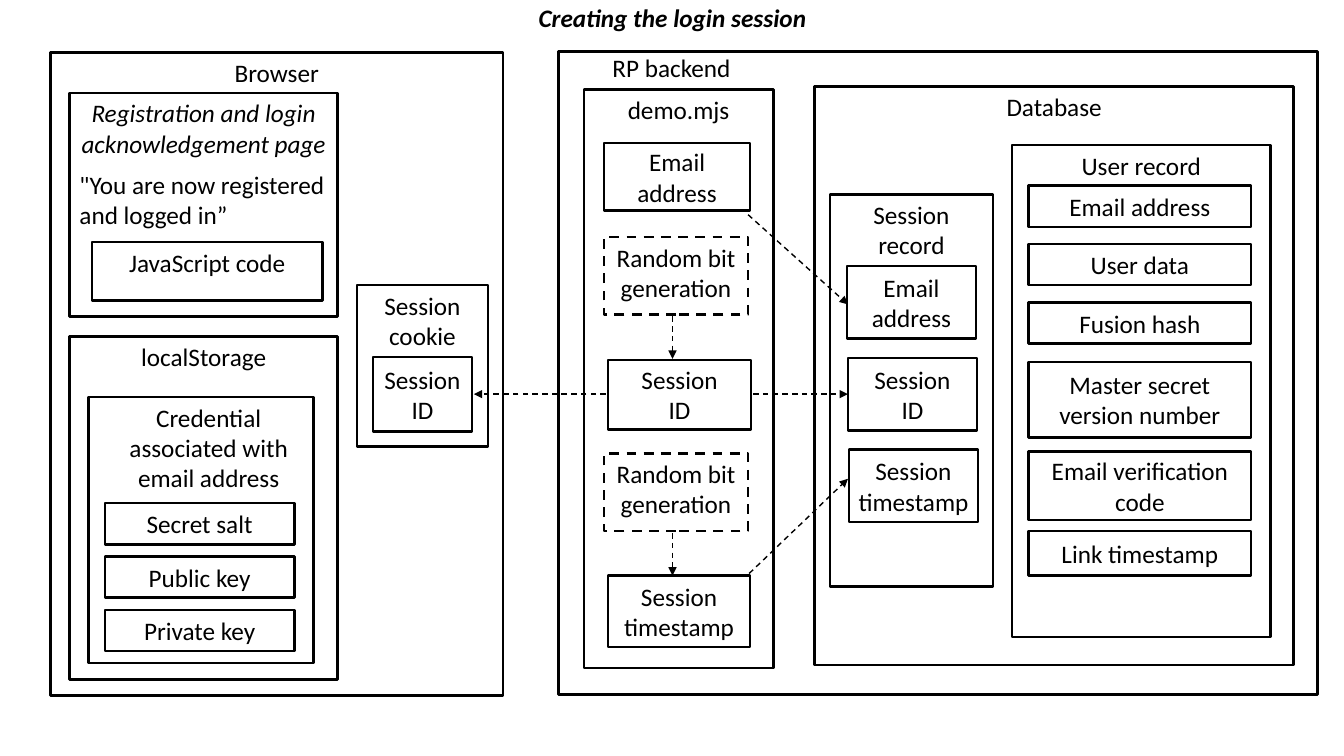
from pptx import Presentation
from pptx.dml.color import RGBColor
from pptx.enum.dml import MSO_LINE
from pptx.enum.shapes import MSO_CONNECTOR, MSO_SHAPE
from pptx.enum.text import MSO_ANCHOR, PP_ALIGN
from pptx.oxml.ns import qn
from pptx.util import Inches, Pt
from lxml import etree

RECTANGLE = MSO_SHAPE.RECTANGLE
STRAIGHT = MSO_CONNECTOR.STRAIGHT
DASH = MSO_LINE.DASH
TOP, MIDDLE = MSO_ANCHOR.TOP, MSO_ANCHOR.MIDDLE
LEFT, CENTER = PP_ALIGN.LEFT, PP_ALIGN.CENTER
COLUMNS, ROWS = 133.3, 75


def color(value):
    return RGBColor.from_string(value)


class Diagram:
    font, size, ink = "Calibri", 18, "000000"
    box_line, arrow_line = 1.75, 1

    def __init__(self, presentation):
        self.slide = presentation.slides.add_slide(presentation.slide_layouts[6])
        self.column = presentation.slide_width / COLUMNS
        self.row = presentation.slide_height / ROWS

    def place(self, left, top, width, height):
        return (round(left * self.column), round(top * self.row),
                round(width * self.column), round(height * self.row))

    def stroke(self, line, width, dashed):
        line.color.rgb = color(self.ink)
        line.width = Pt(width)
        if dashed:
            line.dash_style = DASH

    def set_text(self, shape, text, anchor, align, margin, bold=False, italic=False):
        frame = shape.text_frame
        frame.word_wrap = True
        frame.vertical_anchor = anchor
        frame.margin_left = frame.margin_right = Inches(margin)
        frame.text = text
        for paragraph in frame.paragraphs:
            paragraph.alignment = align
            font = paragraph.font
            font.name, font.size = self.font, Pt(self.size)
            font.bold, font.italic = bold, italic
            font.color.rgb = color(self.ink)

    def box(self, area, text="", anchor=MIDDLE, dashed=False, italic=False):
        shape = self.slide.shapes.add_shape(RECTANGLE, *self.place(*area))
        shape.shadow.inherit = False
        shape.fill.background()
        self.stroke(shape.line, self.box_line, dashed)
        if text:
            self.set_text(shape, text, anchor, CENTER, 0.05, italic=italic)

    def container(self, area, text="", italic=False):
        self.box(area, text, TOP, italic=italic)

    def label(self, area, text, anchor=TOP, align=CENTER, bold=False, italic=False):
        shape = self.slide.shapes.add_textbox(*self.place(*area))
        self.set_text(shape, text, anchor, align, 0.1, bold, italic)

    def arrow(self, *ends):
        connector = self.slide.shapes.add_connector(STRAIGHT, *self.place(*ends))
        self.stroke(connector.line, self.arrow_line, True)
        properties = connector._element.spPr
        etree.SubElement(properties.find(qn("a:ln")), qn("a:tailEnd"), type="triangle")
        etree.SubElement(properties, qn("a:effectLst"))


presentation = Presentation()
presentation.slide_width, presentation.slide_height = Inches(13.33), Inches(7.5)
diagram = Diagram(presentation)

diagram.label((9.2, -0.9, 115, 5.3), "Creating the login session", MIDDLE,
              bold=True, italic=True)

containers = [
    ((5, 5.2, 44.9, 63.8), "Browser"),
    ((6.9, 33.4, 26.6, 34), "localStorage"),
    ((8.8, 39.4, 22.3, 26.4), ""),
    ((35.4, 28.3, 13, 16), "Session\ncookie"),
    ((55.4, 5.1, 75.3, 63.8), ""),
    ((57.9, 8.9, 18.8, 57.4), "demo.mjs"),
    ((80.8, 8.6, 47.5, 57.4), "Database"),
    ((82.3, 19.3, 16.2, 38.9), "Session\nrecord"),
    ((100.4, 14.4, 25.6, 48.8), "User record"),
    ((9.1, 24, 22.9, 5.8), "JavaScript code"),
]
for area, text in containers:
    diagram.container(area, text)
diagram.container((6.9, 9.2, 26.6, 22.2),
                  "Registration and login acknowledgement page", italic=True)

diagram.label((6.9, 16.3, 26.6, 7.1), "\"You are now registered and logged in”", align=LEFT)
diagram.label((10.4, 39.4, 20.6, 10.1), "Credential associated with\nemail address")
diagram.label((57.2, 4.7, 18.8, 4), "RP backend")

for index, text in enumerate(["Secret salt", "Public key", "Private key"]):
    diagram.box((10.4, 49.9 + 5.3 * index, 18.8, 4.1), text)

diagram.box((37, 35.4, 9.8, 7.4), "Session\nID")

backend_values = [
    (59.9, 14.2, 14.5, 6.7, "Email address"),
    (60.3, 35.7, 14.2, 6.9, "Session\nID"),
    (60.3, 57.1, 14.1, 7.1, "Session timestamp"),
]
for *area, text in backend_values:
    diagram.box(area, text)

for top in (23.5, 45):
    diagram.box((59.9, top, 14.3, 7.7), "Random bit generation", TOP, dashed=True)
    diagram.arrow(66.7, top + 7.9, 66.7, top + 12.1)

session_fields = ["Email\naddress", "Session\nID", "Session\ntimestamp"]
for index, text in enumerate(session_fields):
    diagram.box((84 + 0.1 * index, 26.4 + 9.1 * index, 12.8, 7.2), text)

user_fields = [
    (18.4, 4.1, "Email address"),
    (24.2, 4.1, "User data"),
    (30, 4.1, "Fusion hash"),
    (35.9, 7.5, "Master secret version number"),
    (44.8, 6.8, "Email verification code"),
    (52.7, 4.4, "Link timestamp"),
]
for top, height, text in user_fields:
    diagram.box((102, top, 22.1, height), text)

diagram.arrow(74.2, 21.3, 84.1, 30.2)
diagram.arrow(74.3, 56.9, 84.1, 47.5)
diagram.arrow(74.7, 39.1, 84.1, 39.1)
diagram.arrow(60.1, 39.1, 47, 39.1)

presentation.save("out.pptx")
